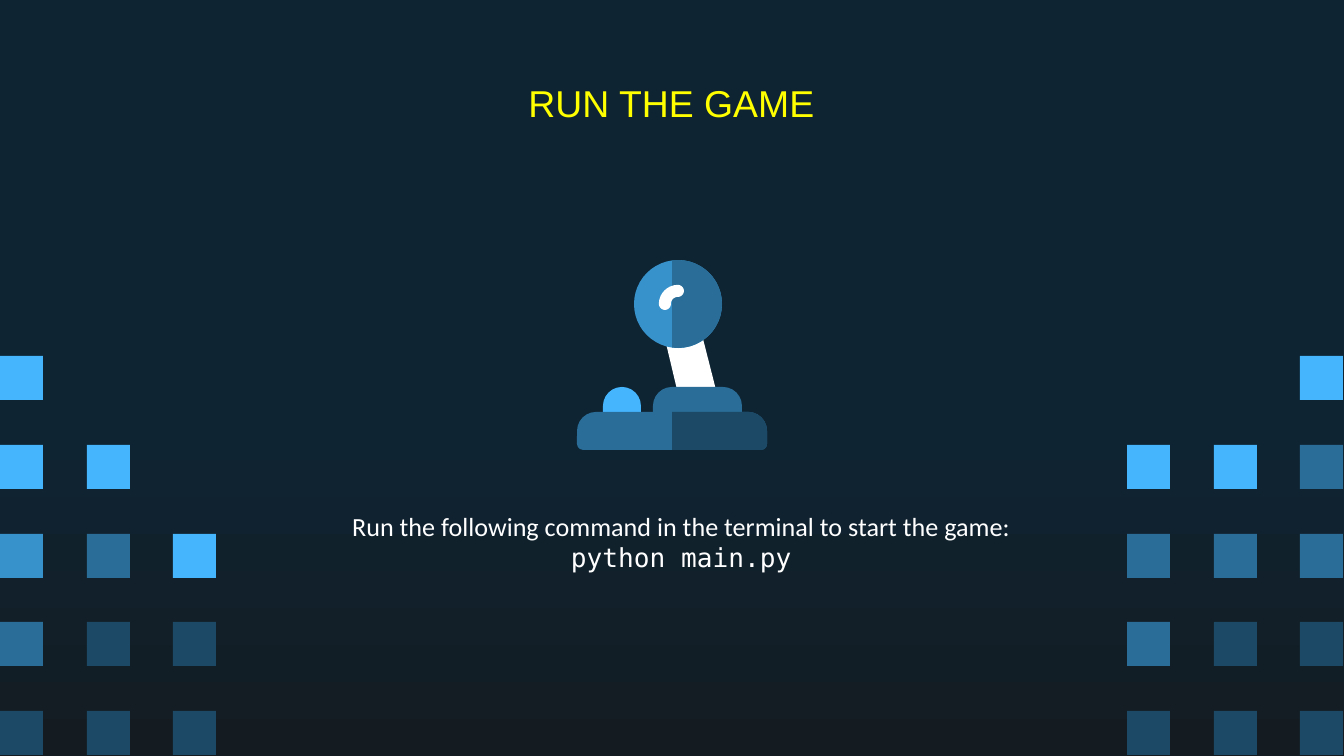
import math
from dataclasses import dataclass

import pptx
import pptx.dml.color
import pptx.enum.shapes
import pptx.enum.text
import pptx.util

SCALE = 914400 / 134.4
KIND = pptx.enum.shapes.MSO_SHAPE
ANCHOR = pptx.enum.text.MSO_ANCHOR
COLORS = {
    "night": "0E2433", "dusk": "141C21", "deep": "1C4966", "steel": "296D98",
    "blue": "3792CB", "sky": "45B6FE", "white": "FFFFFF", "yellow": "FFFF00",
}
CODES = {"S": "sky", "B": "blue", "T": "steel", "D": "deep"}
INSETS = {f"margin_{side}": 13 for side in ("left", "right", "top", "bottom")}


@dataclass
class Box:
    x: int
    y: int
    w: int
    h: int


@dataclass
class Part:
    kind: int
    box: Box
    color: str
    rounds: tuple = ()


@dataclass
class Line:
    text: str
    font: str
    size: int
    color: str


@dataclass
class Field:
    x: int
    rows: tuple


@dataclass
class Label:
    box: Box
    anchor: int
    lines: tuple
    indent: tuple = (0, 0)


FIELDS = (
    Field(0, ("S  ", "SS ", "BTS", "TDD", "DDD")),
    Field(1127, ("  S", "SST", "TTT", "TDD", "DDD")),
)
BALL = Part(KIND.OVAL, Box(634, 260, 88, 88), "blue")
STAND = (
    Part(KIND.ROUND_2_SAME_RECTANGLE, Box(653, 387, 89, 38), "steel", (0.5, 0.16)),
    Part(KIND.ROUND_2_SAME_RECTANGLE, Box(603, 387, 38, 38), "sky", (0.5, 0.16)),
    Part(KIND.ROUND_2_SAME_RECTANGLE, Box(577, 412, 190, 38), "steel", (0.5, 0.16)),
)
LABELS = (
    Label(Box(105, 79, 1133, 48), ANCHOR.MIDDLE,
          (Line("RUN THE GAME", "Arial", 20, "yellow"),)),
    Label(Box(286, 497, 772, 133), ANCHOR.TOP, (
        Line("Run the following command in the terminal to start the game:",
             "Calibri", 14, "white"),
        Line("python main.py", "DejaVu Sans Mono", 14, "white"),
    ), (67, -48)),
)


def emu(px: float) -> int:
    return round(px * SCALE)


def rgb(name: str) -> pptx.dml.color.RGBColor:
    return pptx.dml.color.RGBColor.from_string(COLORS[name])


def place(box: Box) -> tuple:
    return tuple(emu(v) for v in (box.x, box.y, box.w, box.h))


def paint(shape, color: str) -> None:
    shape.shadow.inherit = False
    shape.fill.solid()
    shape.fill.fore_color.rgb = rgb(color)
    shape.line.fill.background()


def draw(shapes, part: Part) -> None:
    shape = shapes.add_shape(part.kind, *place(part.box))
    for i, value in enumerate(part.rounds):
        shape.adjustments[i] = value
    paint(shape, part.color)


def trace(shapes, points: list, color: str) -> None:
    spots = [(emu(x), emu(y)) for x, y in points]
    pen = shapes.build_freeform(*spots[0], scale=1.0)
    pen.add_line_segments(spots[1:], close=True)
    paint(pen.convert_to_shape(), color)


def arc(x: int, y: int, r: int, start: float, end: float) -> list:
    angles = [math.radians(start + (end - start) * i / 24) for i in range(25)]
    return [(x + r * math.cos(a), y + r * math.sin(a)) for a in angles]


def tile(shapes, field: Field) -> None:
    for r, row in enumerate(field.rows):
        for c, code in enumerate(row):
            if code in CODES:
                box = Box(field.x + round(c * 86.67), 356 + round(r * 88.75), 43, 44)
                draw(shapes, Part(KIND.RECTANGLE, box, CODES[code]))


def stick(shapes) -> None:
    trace(shapes, [(664, 335), (701, 331), (718, 398), (679, 398)], "white")
    draw(shapes, BALL)
    split = math.degrees(math.acos(-6 / 44))
    trace(shapes, arc(678, 304, 44, -split, split), "steel")
    shine = (arc(678, 304, 19, 180, 270) + arc(678, 291, 6, 270, 450)
             + arc(678, 304, 7, 270, 180) + arc(665, 304, 6, 0, 180))
    trace(shapes, shine, "white")
    for part in STAND:
        draw(shapes, part)
    half = [(672, 412)] + arc(748, 431, 19, 270, 360) + arc(761, 444, 6, 0, 90)
    trace(shapes, half + [(672, 450)], "deep")


def write(shapes, label: Label) -> None:
    frame = shapes.add_textbox(*place(label.box)).text_frame
    frame.word_wrap = True
    frame.vertical_anchor = label.anchor
    for name, value in INSETS.items():
        setattr(frame, name, emu(value))
    for i, line in enumerate(label.lines):
        para = frame.add_paragraph() if i else frame.paragraphs[0]
        para.alignment = pptx.enum.text.PP_ALIGN.CENTER
        props = para._p.get_or_add_pPr()
        for name, value in zip(("marL", "indent"), label.indent):
            props.set(name, str(emu(value)))
        run = para.add_run()
        run.text = line.text
        style = {"name": line.font, "size": pptx.util.Pt(line.size)}
        for name, value in style.items():
            setattr(run.font, name, value)
        run.font.color.rgb = rgb(line.color)


def shade(slide) -> None:
    fill = slide.background.fill
    fill.gradient()
    fill.gradient_angle = 270
    for stop, spot, color in zip(fill.gradient_stops, (0.56, 1), ("night", "dusk")):
        stop.position = spot
        stop.color.rgb = rgb(color)


def main() -> None:
    deck = pptx.Presentation()
    deck.slide_width, deck.slide_height = emu(1344), emu(756)
    slide = deck.slides.add_slide(deck.slide_layouts[6])
    shade(slide)
    for field in FIELDS:
        tile(slide.shapes, field)
    for label in LABELS:
        write(slide.shapes, label)
    stick(slide.shapes.add_group_shape().shapes)
    deck.save("out.pptx")


if __name__ == "__main__":
    main()
